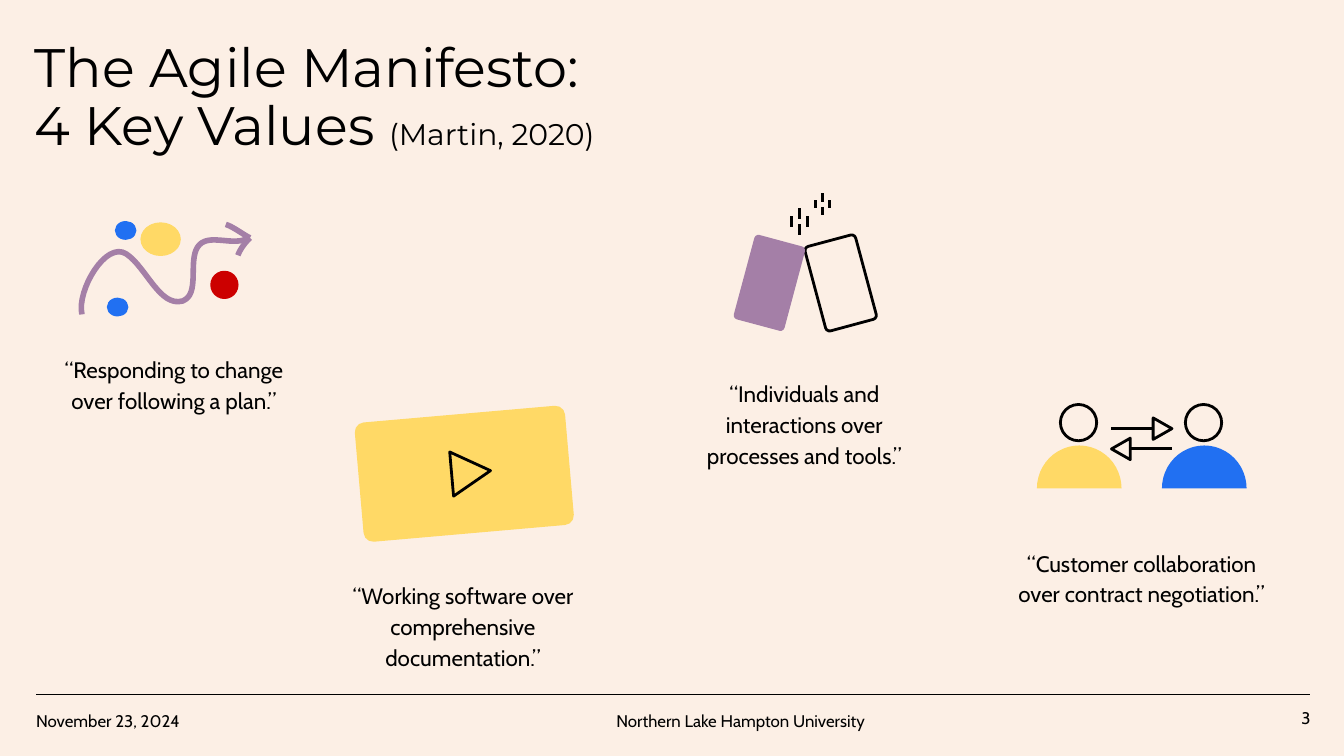
"""Build the Agile Manifesto slide with its four illustrated values."""
from dataclasses import dataclass
from typing import Optional

from lxml import etree
from pptx import Presentation
from pptx.dml.color import RGBColor
from pptx.enum.shapes import MSO_CONNECTOR, MSO_SHAPE
from pptx.enum.text import MSO_ANCHOR, PP_ALIGN
from pptx.oxml.ns import qn
from pptx.util import Pt

STRAIGHT = MSO_CONNECTOR.STRAIGHT
ROUNDED, TRIANGLE = MSO_SHAPE.ROUNDED_RECTANGLE, MSO_SHAPE.ISOSCELES_TRIANGLE
OVAL, PIE = MSO_SHAPE.OVAL, MSO_SHAPE.PIE
LEFT, CENTER, RIGHT = PP_ALIGN.LEFT, PP_ALIGN.CENTER, PP_ALIGN.RIGHT
TOP, MIDDLE = MSO_ANCHOR.TOP, MSO_ANCHOR.MIDDLE
EMU_PER_PX = 9144
CURVE_STEPS = 16
Point = tuple[int, int]
Box = tuple[int, int, int, int]


@dataclass(frozen=True)
class Theme:
    background: str = "FCEFE5"
    ink: str = "000000"
    yellow: str = "FFD966"
    blue: str = "2170F2"
    purple: str = "A47FA7"
    red: str = "CC0000"
    title_font: str = "Montserrat"
    body_font: str = "Cabin"
    title_size: int = 29
    citation_size: int = 16
    value_size: int = 12
    footer_size: int = 9
    hairline: float = 0.75
    stroke: float = 1.5
    path_stroke: float = 3


THEME = Theme()


@dataclass(frozen=True)
class Label:
    text: str
    box: Box
    size: int = THEME.value_size
    font: str = THEME.body_font
    align: PP_ALIGN = CENTER
    anchor: MSO_ANCHOR = TOP
    spacing: float = 1.15
    after: int = 12


@dataclass(frozen=True)
class Figure:
    kind: MSO_SHAPE
    box: Box
    fill: Optional[str] = None
    line: Optional[str] = None
    width: float = THEME.stroke
    rotation: int = 0
    adjustments: tuple[float, ...] = ()


@dataclass(frozen=True)
class Arrow:
    start: Point
    end: Point
    head: Box
    rotation: int


@dataclass(frozen=True)
class Person:
    left: int
    color: str


@dataclass(frozen=True)
class Spark:
    x: int
    top: int
    reach: int
    dash: int
    step: int


@dataclass(frozen=True)
class Curve:
    start: Point
    segments: tuple[tuple[Point, Point, Point], ...]


FOOTER = THEME.footer_size
TITLE = Label("The Agile Manifesto:\n4 Key Values ", (16, 20, 493, 124), THEME.title_size,
              THEME.title_font, LEFT, spacing=0.9, after=0)
CITATION = "(Martin, 2020)"
LABELS = (
    Label("“Responding to change over following a plan.”", (27, 252, 205, 58)),
    Label("“Working software over comprehensive documentation.”", (242, 420, 205, 58)),
    Label("“Individuals and interactions over processes and tools.”", (496, 270, 205, 58), after=0),
    Label("“Customer collaboration over contract negotiation.”", (747, 396, 205, 58)),
    Label("Northern Lake Hampton University", (418, 518, 266, 34), FOOTER),
    Label("November 23, 2024", (17, 518, 163, 34), FOOTER, align=LEFT),
    Label("3", (925, 517, 60, 34), FOOTER, align=RIGHT, anchor=MIDDLE, spacing=1, after=0),
)
SOFTWARE = (
    Figure(ROUNDED, (267, 308, 157, 89), THEME.yellow, rotation=355, adjustments=(0.08,)),
    Figure(TRIANGLE, (334, 337, 33, 29), line=THEME.ink, rotation=85),
)
CARDS = (
    Figure(ROUNDED, (606, 178, 39, 65), line=THEME.ink, rotation=345, adjustments=(0.08,)),
    Figure(ROUNDED, (553, 178, 39, 65), THEME.purple, rotation=15, adjustments=(0.08,)),
)
OBSTACLES = tuple(
    Figure(OVAL, box, color, color, THEME.hairline)
    for box, color in (
        ((105, 166, 29, 24), THEME.yellow),
        ((80, 222, 15, 13), THEME.blue),
        ((86, 165, 15, 13), THEME.blue),
        ((157, 202, 20, 20), THEME.red),
    )
)
ARROWS = (
    Arrow((827, 319), (858, 319), (857, 312, 16, 14), 90),
    Arrow((872, 334), (841, 334), (826, 327, 16, 14), 270),
)
PEOPLE = (Person(771, THEME.yellow), Person(864, THEME.blue))
SPARKS = (Spark(595, 155, 6, 8, 12), Spark(612, 144, 5, 6, 10))
WINDING_PATH = (
    Curve((61, 234), (
        ((57, 216), (79, 179), (94, 189)),
        ((109, 199), (119, 229), (136, 224)),
        ((149, 219), (140, 195), (147, 184)),
        ((154, 173), (172, 183), (183, 178)),
    )),
    Curve((168, 167), (((174, 169), (180, 174), (186, 177)),)),
    Curve((186, 177), (((182, 181), (179, 185), (177, 190)),)),
)


def px(*lengths: float) -> list[int]:
    """Turn pixel lengths into EMU."""
    return [round(length * EMU_PER_PX) for length in lengths]


def style_font(font, name: str, size: int) -> None:
    """Apply a typeface and size in ink colour."""
    font.name, font.size = name, Pt(size)
    font.color.rgb = RGBColor.from_string(THEME.ink)


def style_line(line, color: Optional[str], width: float) -> None:
    """Set an outline, or remove it when there is no colour."""
    if color is None:
        line.fill.background()
        return
    line.color.rgb = RGBColor.from_string(color)
    line.width = Pt(width)


def draw_label(slide, label: Label):
    """Add a text box and return its text frame."""
    frame = slide.shapes.add_textbox(*px(*label.box)).text_frame
    frame.word_wrap = True
    frame.vertical_anchor = label.anchor
    inset, = px(10)
    frame.margin_left = frame.margin_right = frame.margin_top = frame.margin_bottom = inset
    frame.text = label.text
    for paragraph in frame.paragraphs:
        paragraph.alignment = label.align
        paragraph.line_spacing = label.spacing
        paragraph.space_after = Pt(label.after)
        for run in paragraph.runs:
            style_font(run.font, label.font, label.size)
    return frame


def draw_title(slide) -> None:
    """Add the title followed by its smaller citation."""
    citation = draw_label(slide, TITLE).paragraphs[-1].add_run()
    citation.text = CITATION
    style_font(citation.font, TITLE.font, THEME.citation_size)


def draw_figure(slide, figure: Figure) -> None:
    """Add one preset shape."""
    shape = slide.shapes.add_shape(figure.kind, *px(*figure.box))
    shape.shadow.inherit = False
    shape.rotation = figure.rotation
    for index, value in enumerate(figure.adjustments):
        shape.adjustments[index] = value
    if figure.fill is None:
        shape.fill.background()
    else:
        shape.fill.solid()
        shape.fill.fore_color.rgb = RGBColor.from_string(figure.fill)
    style_line(shape.line, figure.line, figure.width)


def draw_line(slide, start: Point, end: Point, width: float = THEME.stroke) -> None:
    """Add a straight ink line without a shadow."""
    connector = slide.shapes.add_connector(STRAIGHT, *px(*start, *end))
    style_line(connector.line, THEME.ink, width)
    etree.SubElement(connector._element.spPr, qn("a:effectLst"))


def draw_arrow(slide, arrow: Arrow) -> None:
    """Add a line with an open triangular head."""
    draw_line(slide, arrow.start, arrow.end)
    draw_figure(slide, Figure(TRIANGLE, arrow.head, line=THEME.ink, rotation=arrow.rotation))


def draw_person(slide, person: Person) -> None:
    """Add half-round shoulders and an open head."""
    draw_figure(slide, Figure(PIE, (person.left, 332, 64, 63), person.color,
                              rotation=90, adjustments=(54, 162)))
    draw_figure(slide, Figure(OVAL, (person.left + 18, 301, 27, 27), line=THEME.ink))


def draw_spark(slide, spark: Spark) -> None:
    """Add four short dashes around a centre."""
    for dx, dy in ((0, 0), (0, spark.step), (spark.reach, spark.reach), (-spark.reach, spark.reach)):
        x, y = spark.x + dx, spark.top + dy
        draw_line(slide, (x, y), (x, y + spark.dash))


def draw_curve(slide, curve: Curve) -> None:
    """Trace cubic curves as one open freeform."""
    points, anchor = [], curve.start
    for first, second, end in curve.segments:
        for step in range(1, CURVE_STEPS + 1):
            t = step / CURVE_STEPS
            u = 1 - t
            points.append(px(*(u**3 * a + 3 * u * u * t * b + 3 * u * t * t * c + t**3 * d
                               for a, b, c, d in zip(anchor, first, second, end))))
        anchor = end
    builder = slide.shapes.build_freeform(*px(*curve.start))
    builder.add_line_segments(points, close=False)
    stroke = builder.convert_to_shape()
    stroke.shadow.inherit = False
    stroke.fill.background()
    style_line(stroke.line, THEME.purple, THEME.path_stroke)


def main() -> None:
    """Draw the slide and save it."""
    deck = Presentation()
    deck.slide_width, = px(1000)
    deck.slide_height = deck.slide_width * 9 // 16
    slide = deck.slides.add_slide(deck.slide_layouts[6])
    slide.background.fill.solid()
    slide.background.fill.fore_color.rgb = RGBColor.from_string(THEME.background)
    draw_line(slide, (27, 517), (975, 517), THEME.hairline)
    draw_title(slide)
    for draw, items in ((draw_figure, SOFTWARE), (draw_arrow, ARROWS), (draw_person, PEOPLE),
                        (draw_spark, SPARKS), (draw_figure, CARDS), (draw_curve, WINDING_PATH),
                        (draw_figure, OBSTACLES), (draw_label, LABELS)):
        for item in items:
            draw(slide, item)
    deck.save("out.pptx")


if __name__ == "__main__":
    main()
